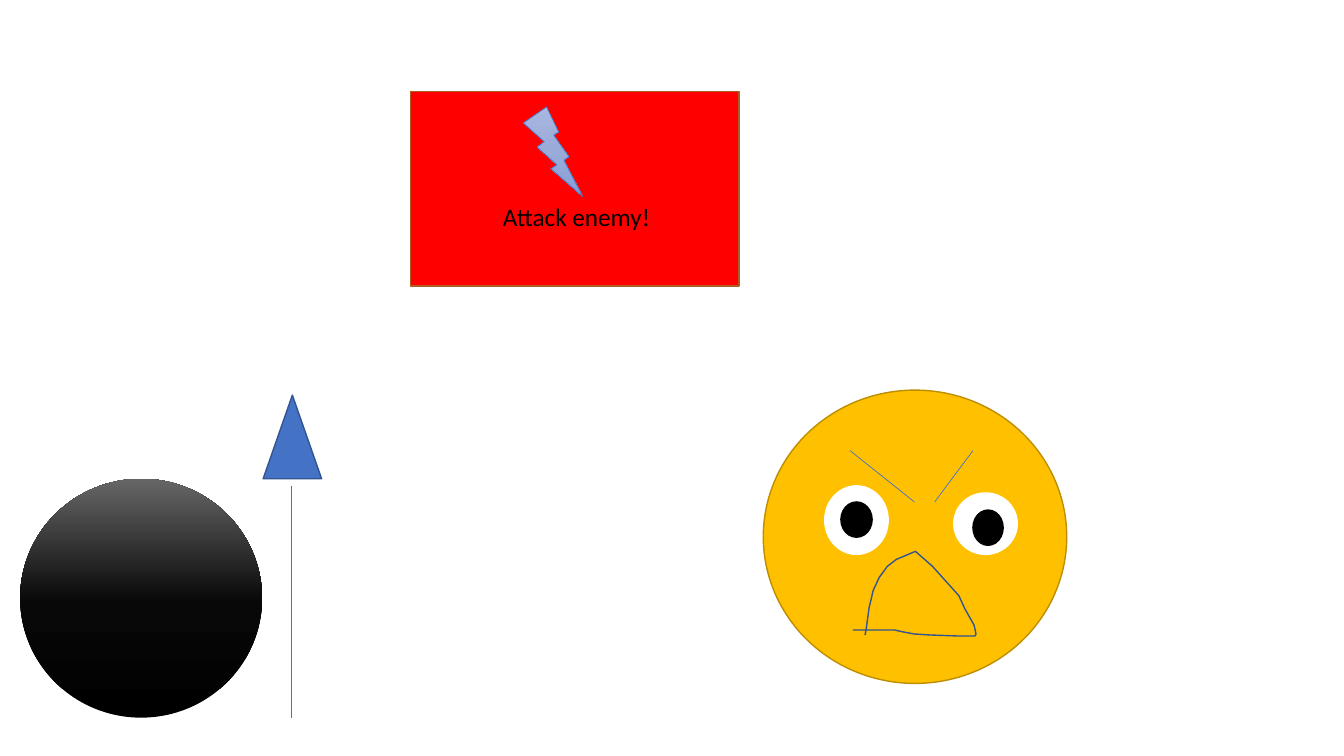
from lxml import etree
from pptx import Presentation
from pptx.dml.color import RGBColor
from pptx.enum.shapes import MSO_CONNECTOR, MSO_SHAPE
from pptx.enum.text import MSO_AUTO_SIZE
from pptx.oxml.ns import qn
from pptx.util import Inches, Pt

OVAL, RECT = MSO_SHAPE.OVAL, MSO_SHAPE.RECTANGLE
TRIANGLE, BOLT = MSO_SHAPE.ISOSCELES_TRIANGLE, MSO_SHAPE.LIGHTNING_BOLT
STRAIGHT = MSO_CONNECTOR.STRAIGHT
FIT_TEXT = MSO_AUTO_SIZE.SHAPE_TO_FIT_TEXT

BLACK = RGBColor(0x00, 0x00, 0x00)
WHITE = RGBColor(0xFF, 0xFF, 0xFF)
RED = RGBColor(0xFF, 0x00, 0x00)
BROWN = RGBColor(0xAF, 0x5C, 0x24)
BLUE = RGBColor(0x44, 0x72, 0xC4)
DARK_BLUE = RGBColor(0x32, 0x54, 0x91)
GOLD = RGBColor(0xFF, 0xC0, 0x00)
DARK_GOLD = RGBColor(0xBD, 0x8E, 0x00)
NEAR_BLACK = RGBColor(0x08, 0x08, 0x08)
GRAY = RGBColor(0x66, 0x66, 0x66)
BOLT_LIGHT = RGBColor(0xA8, 0xB7, 0xDF)
BOLT_MID = RGBColor(0x9A, 0xAB, 0xD9)
BOLT_DARK = RGBColor(0x88, 0x9E, 0xD7)

# Mouth outline, measured from the corner of the face
MOUTH = [(1.01, 2.43), (1.02, 2.38), (1.05, 2.16), (1.09, 1.99), (1.15, 1.86),
         (1.23, 1.75), (1.32, 1.68), (1.51, 1.6), (1.68, 1.75), (1.86, 1.95),
         (1.94, 2.04), (2.0, 2.17), (2.09, 2.33), (2.1, 2.37), (2.11, 2.42),
         (2.1, 2.44), (1.94, 2.44), (1.66, 2.43), (1.5, 2.42), (1.39, 2.4),
         (1.3, 2.38), (1.22, 2.38), (0.89, 2.38)]


def set_line(s, color, width=1):
    if color is None:
        s.line.fill.background()
    else:
        s.line.color.rgb = color
        s.line.width = Pt(width)


def add_shape(slide, kind, x, y, w, h, fill=None, line=None, width=1):
    s = slide.shapes.add_shape(kind, Inches(x), Inches(y), Inches(w), Inches(h))
    s.shadow.inherit = False
    if fill is not None:
        s.fill.solid()
        s.fill.fore_color.rgb = fill
    set_line(s, line, width)
    return s


def add_line(slide, x1, y1, x2, y2):
    s = slide.shapes.add_connector(
        STRAIGHT, Inches(x1), Inches(y1), Inches(x2), Inches(y2))
    set_line(s, BLUE, 0.5)
    etree.SubElement(s._element.spPr, qn("a:effectLst"))


def set_gradient(s, stops, angle):
    s.fill.gradient()
    s.fill.gradient_angle = angle
    stop_list = s._element.spPr.find(qn("a:gradFill")).find(qn("a:gsLst"))
    for old in list(stop_list):
        stop_list.remove(old)
    for percent, color in stops:
        stop = etree.SubElement(stop_list, qn("a:gs"), pos=str(percent * 1000))
        etree.SubElement(stop, qn("a:srgbClr"), val=str(color))


def add_ball(slide, x, y):
    ball = add_shape(slide, OVAL, x, y, 2.4, 2.37)
    set_gradient(ball, [(0, BLACK), (48, NEAR_BLACK), (100, GRAY)], 90)


def add_aim_arrow(slide, x, y):
    add_line(slide, x + 0.28, y + 0.9, x + 0.28, y + 3.2)
    add_shape(slide, TRIANGLE, x, y, 0.58, 0.83, BLUE, DARK_BLUE)


def add_angry_face(slide, x, y):
    add_shape(slide, OVAL, x, y, 3.01, 2.91, GOLD, DARK_GOLD)
    # Eyebrows
    for outer, inner in ((0.86, 1.5), (2.08, 1.7)):
        add_line(slide, x + outer, y + 0.6, x + inner, y + 1.11)
    # Eyes, then pupils
    for dx, dy, w, h, color in ((0.61, 0.95, 0.63, 0.68, WHITE),
                                (1.89, 1.02, 0.63, 0.61, WHITE),
                                (0.77, 1.11, 0.31, 0.35, BLACK),
                                (2.08, 1.19, 0.3, 0.35, BLACK)):
        add_shape(slide, OVAL, x + dx, y + dy, w, h, color, color)
    # Mouth
    points = [(Inches(x + dx), Inches(y + dy)) for dx, dy in MOUTH]
    builder = slide.shapes.build_freeform(*points[0])
    builder.add_line_segments(points[1:], close=False)
    mouth = builder.convert_to_shape()
    mouth.shadow.inherit = False
    mouth.fill.background()
    set_line(mouth, DARK_BLUE)


def add_attack_button(slide, x, y):
    add_shape(slide, RECT, x, y, 3.26, 1.93, RED, BROWN)
    # Label
    box = slide.shapes.add_textbox(
        Inches(x + 0.82), Inches(y + 1.04), Inches(1.77), Inches(0.4))
    tf = box.text_frame
    tf.word_wrap = True
    tf.auto_size = FIT_TEXT
    r = tf.paragraphs[0].add_run()
    r.text = "Attack enemy!"
    for name, value in {"size": Pt(18), "name": "Calibri"}.items():
        setattr(r.font, name, value)
    r.font.color.rgb = BLACK
    # Lightning bolt
    bolt = add_shape(slide, BOLT, x + 1.12, y + 0.15, 0.59, 0.89,
                     line=BLUE, width=0.5)
    set_gradient(bolt, [(0, BOLT_LIGHT), (50, BOLT_MID), (100, BOLT_DARK)], 270)


def main():
    prs = Presentation()
    prs.slide_width, prs.slide_height = Inches(13.33), Inches(7.5)
    slide = prs.slides.add_slide(prs.slide_layouts[6])
    add_ball(slide, 0.2, 4.75)
    add_aim_arrow(slide, 2.61, 3.92)
    add_angry_face(slide, 7.57, 3.87)
    add_attack_button(slide, 4.07, 0.91)
    prs.save("out.pptx")


if __name__ == "__main__":
    main()
